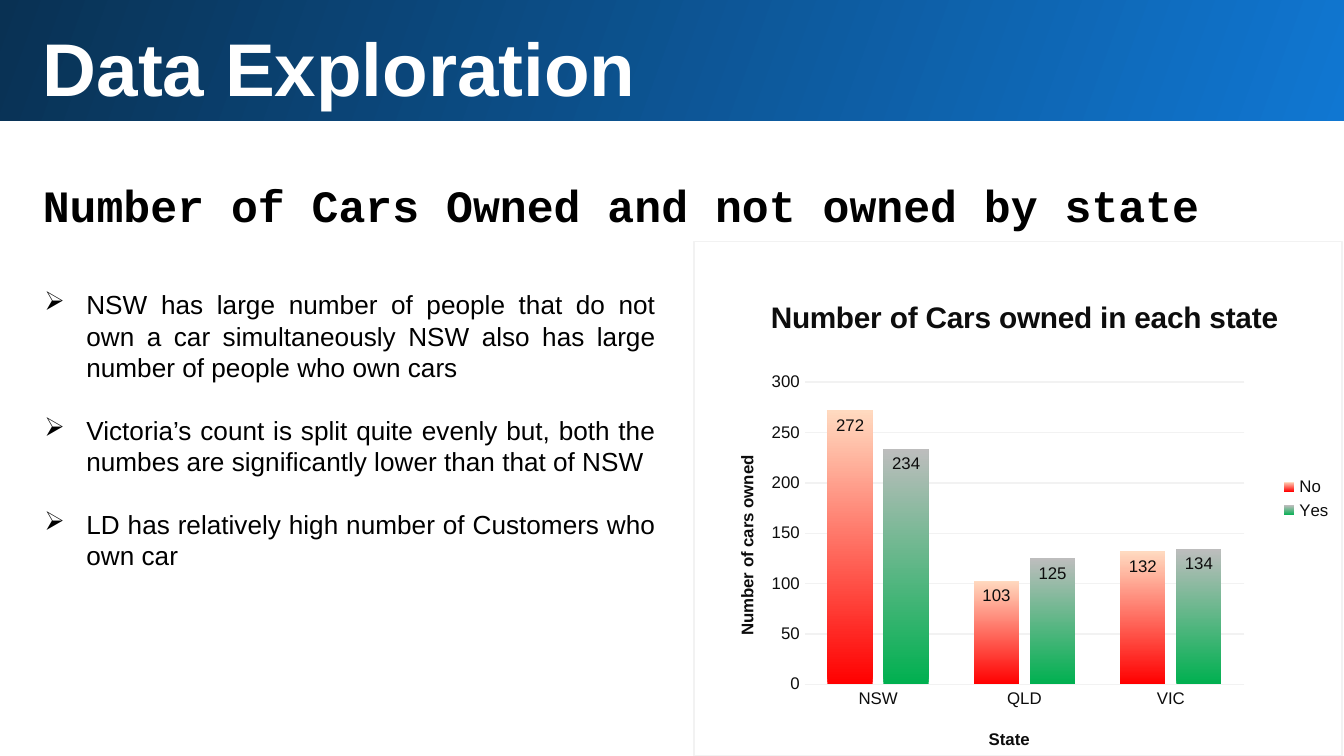
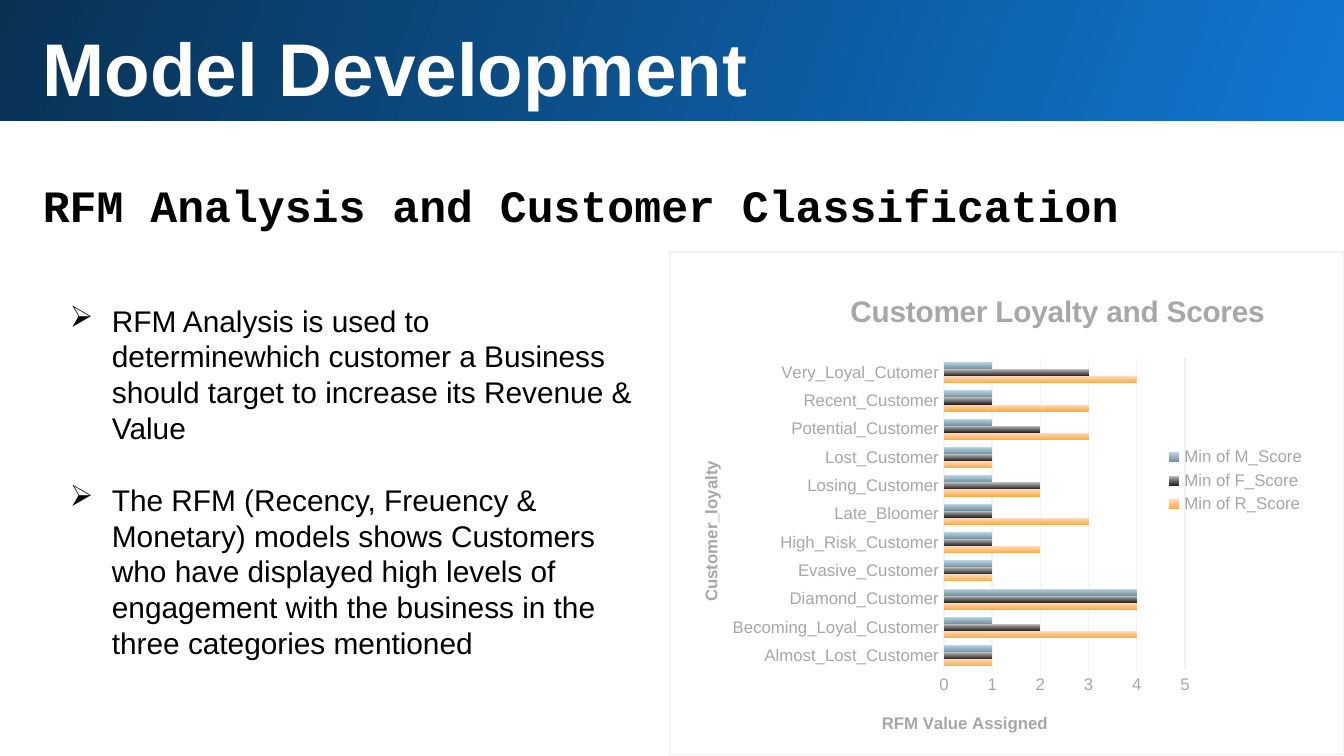
"""Build two analysis slides, each with a title band, bullet points and a chart."""
from dataclasses import dataclass
from typing import Any, NamedTuple

from lxml import etree
from pptx import Presentation
from pptx.chart.data import CategoryChartData
from pptx.dml.color import RGBColor
from pptx.enum import chart as charts, shapes, text
from pptx.oxml import parse_xml
from pptx.oxml.ns import nsdecls, qn
from pptx.util import Pt

SANS, MONO = "Arial", "Courier New"
WHITE, BLACK, PALE = "FFFFFF", "000000", "F2F2F2"
BAND_COLORS = ("1077D2", "093153")
LINE_FACTOR = 1.2
BULLET_INDENT = 22.5
LABEL_SIZE, CHART_TITLE_SIZE = 9, 16


class Box(NamedTuple):
    """A rectangle in points."""
    left: float
    top: float
    width: float
    height: float

    def lengths(self) -> list:
        """Return the four sides as lengths."""
        return [Pt(value) for value in self]


class Series(NamedTuple):
    """A chart series with its gradient colours."""
    name: str
    values: tuple[int, ...]
    colors: tuple[str, str]


class Caption(NamedTuple):
    """A chart or axis title and its place as chart fractions."""
    wording: str
    x: float
    y: float


@dataclass
class ChartSpec:
    """Everything that differs between the charts."""
    kind: Any
    box: Box
    ink: str
    title: Caption
    category_title: Caption
    value_title: Caption
    categories: tuple[str, ...]
    series: tuple[Series, ...]
    maximum: int
    step: int
    overlap: int
    labelled: bool
    plot_area: tuple[float, ...]
    legend_area: tuple[float, ...]


@dataclass
class SlideSpec:
    """The contents of one slide."""
    title: str
    heading: str
    bullets: tuple[str, ...]
    bullet_box: Box
    bullet_size: int
    justified: bool
    chart: ChartSpec


BAND_BOX = Box(-1.44, -1.44, 723.6, 66.24)
TITLE_BOX = Box(15.84, 4.32, 674.64, 62.64)
HEADING_BOX = Box(15.84, 83.52, 719.28, 47.52)

CARS_CHART = ChartSpec(
    kind=charts.XL_CHART_TYPE.COLUMN_CLUSTERED,
    box=Box(371.52, 128.88, 347.76, 276.48),
    ink="0D0D0D",
    title=Caption("Number of Cars owned in each state", 0.11, 0.1),
    category_title=Caption("State", 0.45, 0.94),
    value_title=Caption("Number of cars owned", 0.06, 0.41),
    categories=("NSW", "QLD", "VIC"),
    series=(
        Series("No", (272, 103, 132), ("FF0000", "FFDAC0")),
        Series("Yes", (234, 125, 134), ("00B050", "BDBDBD")),
    ),
    maximum=300, step=50, overlap=-24, labelled=True,
    plot_area=(0.171, 0.274, 0.678, 0.587),
    legend_area=(0.9, 0.45, 0.09, 0.1),
)

LOYALTY_CHART = ChartSpec(
    kind=charts.XL_CHART_TYPE.BAR_CLUSTERED,
    box=Box(358.56, 134.64, 361.44, 270),
    ink="A7A7A7",
    title=Caption("Customer Loyalty and Scores", 0.26, 0.07),
    category_title=Caption("Customer_loyalty", 0.04, 0.41),
    value_title=Caption("RFM Value Assigned", 0.31, 0.91),
    categories=(
        "Almost_Lost_Customer", "Becoming_Loyal_Customer", "Diamond_Customer",
        "Evasive_Customer", "High_Risk_Customer", "Late_Bloomer",
        "Losing_Customer", "Lost_Customer", "Potential_Customer",
        "Recent_Customer", "Very_Loyal_Cutomer",
    ),
    series=(
        Series("Min of R_Score", (1, 4, 4, 1, 2, 3, 2, 1, 3, 3, 4), ("FFAB40", "FFDAC0")),
        Series("Min of F_Score", (1, 2, 4, 1, 1, 1, 2, 1, 2, 1, 3), ("212121", "BDBDBD")),
        Series("Min of M_Score", (1, 1, 4, 1, 1, 1, 1, 1, 1, 1, 1), ("7392A1", "BDD5E2")),
    ),
    maximum=5, step=1, overlap=0, labelled=False,
    plot_area=(0.407, 0.212, 0.358, 0.62),
    legend_area=(0.73, 0.38, 0.22, 0.15),
)

SLIDES = (
    SlideSpec(
        "Data Exploration", "Number of Cars Owned and not owned by state",
        (
            "NSW has large number of people that do not own a car simultaneously "
            "NSW also has large number of people who own cars",
            "Victoria’s count is split quite evenly but, both the numbes are "
            "significantly lower than that of NSW",
            "LD has relatively high number of Customers who own car",
        ),
        Box(20.16, 151.2, 334.8, 176.4), 14, True, CARS_CHART,
    ),
    SlideSpec(
        "Model Development", "RFM Analysis and Customer Classification",
        (
            "RFM Analysis is used to determinewhich customer a Business should "
            "target to increase its Revenue & Value",
            "The RFM (Recency, Freuency & Monetary) models shows Customers who "
            "have displayed high levels of engagement with the business in the "
            "three categories mentioned",
        ),
        Box(33.84, 158.4, 315.36, 200.88), 16, False, LOYALTY_CHART,
    ),
)


def color(value: str) -> RGBColor:
    """Turn a hex string into a colour."""
    return RGBColor.from_string(value)


def set_font(font, size: float, ink: str, bold: bool = False, name: str = SANS) -> None:
    """Set the font's name, size, colour and weight."""
    font.name, font.size, font.bold = name, Pt(size), bold
    font.color.rgb = color(ink)


def set_gradient(fill, colors: tuple[str, str], angle: float) -> None:
    """Fill with two colours at a counter-clockwise angle."""
    fill.gradient()
    fill.gradient_angle = angle
    for stop, value in zip(fill.gradient_stops, colors):
        stop.color.rgb = color(value)


def set_line(line, ink: str) -> None:
    """Draw a thin line in the given colour."""
    line.color.rgb = color(ink)
    line.width = Pt(0.75)


def add_text(slide, box: Box, inset: float, paragraphs: tuple[str, ...]):
    """Add a wrapping text box and return its frame."""
    frame = slide.shapes.add_textbox(*box.lengths()).text_frame
    frame.word_wrap = True
    frame.auto_size = text.MSO_AUTO_SIZE.SHAPE_TO_FIT_TEXT
    frame.margin_left = frame.margin_right = Pt(inset)
    frame.margin_top = frame.margin_bottom = Pt(inset)
    frame.text = "\n".join(paragraphs)
    return frame


def add_header(slide, title: str, heading: str) -> None:
    """Add the band, the slide title and the heading."""
    band = slide.shapes.add_shape(shapes.MSO_SHAPE.RECTANGLE, *BAND_BOX.lengths())
    band.shadow.inherit = False
    band.line.fill.background()
    set_gradient(band.fill, BAND_COLORS, 160)
    paragraph = add_text(slide, TITLE_BOX, 7.2, (title,)).paragraphs[0]
    paragraph.line_spacing = Pt(40 * LINE_FACTOR)
    set_font(paragraph.font, 40, WHITE, True)
    paragraph = add_text(slide, HEADING_BOX, 7.2, (heading,)).paragraphs[0]
    paragraph.line_spacing = 1.15
    set_font(paragraph.font, 24, BLACK, True, MONO)


def add_bullets(slide, spec: SlideSpec) -> None:
    """Add the bullet points one line apart."""
    frame = add_text(slide, spec.bullet_box, 3.6, spec.bullets)
    line_height = Pt(spec.bullet_size * LINE_FACTOR)
    for index, paragraph in enumerate(frame.paragraphs):
        paragraph.line_spacing = line_height
        if index:
            paragraph.space_before = line_height
        if spec.justified:
            paragraph.alignment = text.PP_ALIGN.JUSTIFY
        set_font(paragraph.font, spec.bullet_size, BLACK)
        properties = paragraph._p.get_or_add_pPr()
        properties.set("marL", str(Pt(BULLET_INDENT)))
        properties.set("indent", str(-Pt(BULLET_INDENT)))
        bullet = parse_xml(f'<a:buChar {nsdecls("a")} char="➢"/>')
        properties.find(qn("a:defRPr")).addprevious(bullet)


def place(element, index: int, fractions: tuple[float, ...], inner: bool = False) -> None:
    """Give a chart part a manual layout in chart fractions."""
    for existing in element.findall(qn("c:layout")):
        element.remove(existing)
    layout = parse_xml(f'<c:layout {nsdecls("c")}><c:manualLayout/></c:layout>')
    entries = [("layoutTarget", "inner")] if inner else []
    entries += [("xMode", "edge"), ("yMode", "edge")]
    entries += zip("xywh", fractions)
    for tag, value in entries:
        etree.SubElement(layout[0], qn(f"c:{tag}")).set("val", str(value))
    element.insert(index, layout)


def set_caption(title, caption: Caption, size: float, ink: str) -> None:
    """Write and place a chart or axis title."""
    title.text_frame.text = caption.wording
    set_font(title.text_frame.paragraphs[0].font, size, ink, True)
    place(title._element, 1, (caption.x, caption.y))


def style_axes(chart, spec: ChartSpec) -> None:
    """Style both axes, their titles and the gridlines."""
    category, value = chart.category_axis, chart.value_axis
    for axis, caption in ((category, spec.category_title), (value, spec.value_title)):
        axis.major_tick_mark = axis.minor_tick_mark = charts.XL_TICK_MARK.NONE
        set_font(axis.tick_labels.font, LABEL_SIZE, spec.ink)
        set_caption(axis.axis_title, caption, LABEL_SIZE, spec.ink)
    category.has_major_gridlines = False
    set_line(category.format.line, PALE)
    value.format.line.fill.background()
    value.has_major_gridlines = True
    set_line(value.major_gridlines.format.line, PALE)
    value.minimum_scale, value.maximum_scale = 0, spec.maximum
    value.major_unit = spec.step


def add_chart(slide, spec: ChartSpec) -> None:
    """Add a clustered chart with gradient bars."""
    data = CategoryChartData()
    data.categories = spec.categories
    for series in spec.series:
        data.add_series(series.name, series.values)
    chart = slide.shapes.add_chart(spec.kind, *spec.box.lengths(), data).chart
    set_font(chart.font, 10, BLACK)
    space = chart._chartSpace
    space.chart.addnext(parse_xml(
        f'<c:spPr {nsdecls("c", "a")}>'
        f'<a:solidFill><a:srgbClr val="{WHITE}"/></a:solidFill>'
        f'<a:ln w="{Pt(0.75)}"><a:solidFill><a:srgbClr val="{PALE}"/></a:solidFill></a:ln>'
        "</c:spPr>"))
    place(space.chart.plotArea, 0, spec.plot_area, inner=True)
    set_caption(chart.chart_title, spec.title, CHART_TITLE_SIZE, spec.ink)
    style_axes(chart, spec)
    chart.has_legend = True
    chart.legend.position = charts.XL_LEGEND_POSITION.RIGHT
    chart.legend.include_in_layout = False
    set_font(chart.legend.font, LABEL_SIZE, spec.ink)
    place(chart.legend._element, 1, spec.legend_area)
    plot = chart.plots[0]
    plot.gap_width, plot.overlap = 100, spec.overlap
    plot.vary_by_categories = False
    for bars, series in zip(plot.series, spec.series):
        bars.invert_if_negative = False
        set_gradient(bars.format.fill, series.colors, 90)
        if spec.labelled:
            labels = bars.data_labels
            labels.show_value = True
            labels.position = charts.XL_LABEL_POSITION.INSIDE_END
            set_font(labels.font, LABEL_SIZE, spec.ink)


def main() -> None:
    """Build and save the presentation."""
    presentation = Presentation()
    presentation.slide_width, presentation.slide_height = Pt(720), Pt(405)
    for spec in SLIDES:
        slide = presentation.slides.add_slide(presentation.slide_layouts[6])
        add_header(slide, spec.title, spec.heading)
        add_bullets(slide, spec)
        add_chart(slide, spec.chart)
    presentation.save("out.pptx")


if __name__ == "__main__":
    main()
